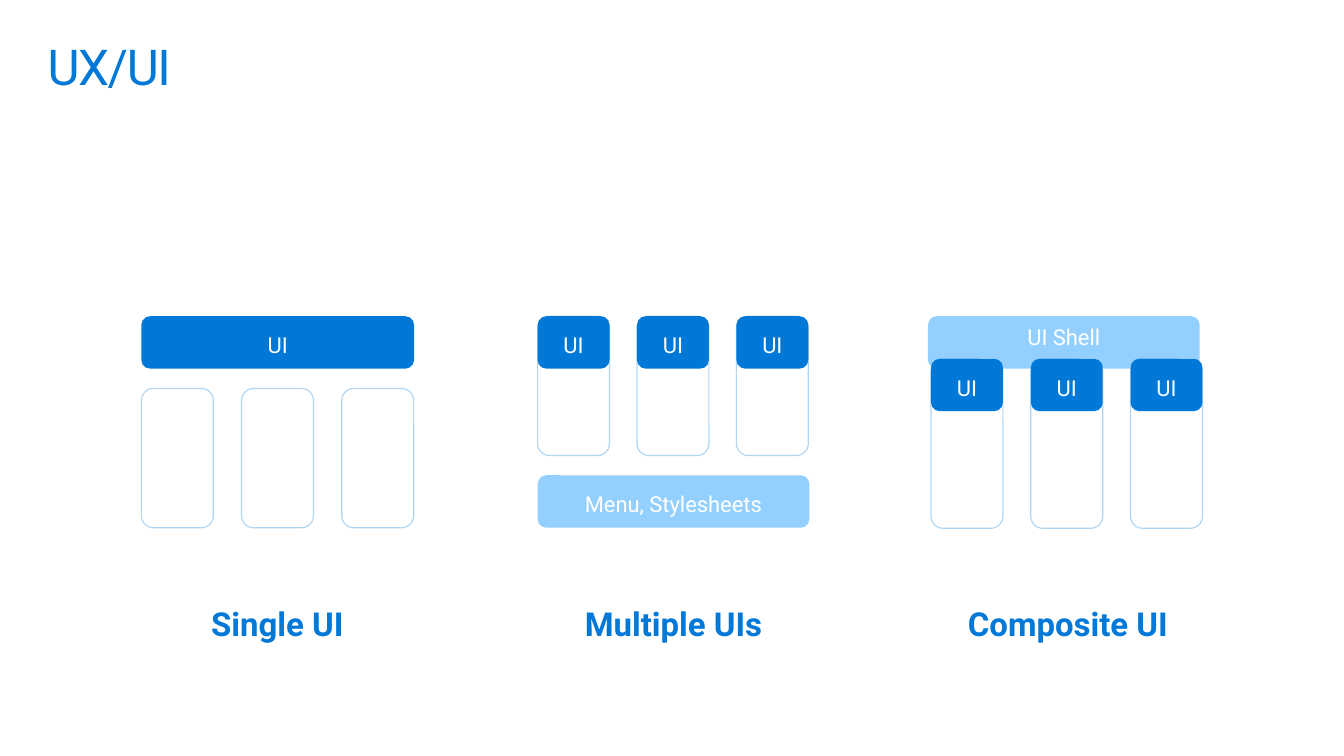
"""Build a slide that contrasts single, multiple and composite user interfaces."""
from pptx import Presentation
from pptx.dml.color import RGBColor
from pptx.enum.shapes import MSO_SHAPE
from pptx.enum.text import MSO_ANCHOR, PP_ALIGN
from pptx.util import Pt

ROUNDED = MSO_SHAPE.ROUNDED_RECTANGLE
TOP, BOTTOM = MSO_ANCHOR.TOP, MSO_ANCHOR.BOTTOM
LEFT, CENTER = PP_ALIGN.LEFT, PP_ALIGN.CENTER

BLUE, PALE, OUTLINE, WHITE = "0078D7", "94D0FF", "B1D6F2", "FFFFFF"
TOP_Y, LOWER_Y, SHELL_Y = 230.4, 283, 261.4
BAR_HEIGHT, CARD_WIDTH, CARD_HEIGHT, TALL_CARD = 38.2, 52.4, 101.5, 123.5
LABEL_WIDTH = 176.4


def color(value):
    return RGBColor.from_string(value)


def assign(target, values):
    for name, value in values.items():
        setattr(target, name, value)


class Deck:
    """Hold the text style and the current slide."""

    font = {"name": "Roboto", "bold": False}
    bar_frame = {"margin_left": Pt(14.4), "margin_right": Pt(14.4),
                 "margin_top": Pt(11.5), "margin_bottom": Pt(11.5)}
    title_frame = {"margin_left": 0, "margin_right": 0,
                   "margin_top": Pt(13), "margin_bottom": 0}

    def __init__(self, width, height):
        self.presentation = Presentation()
        assign(self.presentation, {"slide_width": Pt(width), "slide_height": Pt(height)})
        self.slide = self.presentation.slides.add_slide(self.presentation.slide_layouts[6])

    def add_words(self, shape, words, size, ink, align=CENTER, spacing=0.9,
                  anchor=TOP, frame=None, **font):
        text = shape.text_frame
        assign(text, {"word_wrap": True, "vertical_anchor": anchor, **(frame or {})})
        paragraph = text.paragraphs[0]
        assign(paragraph, {"alignment": align, "line_spacing": spacing})
        run = paragraph.add_run()
        run.text = words
        assign(run.font, {**self.font, "size": Pt(size), **font})
        run.font.color.rgb = color(ink)
        return run

    def title(self, words, left, top, width, height):
        box = self.slide.shapes.add_textbox(Pt(left), Pt(top), Pt(width), Pt(height))
        run = self.add_words(box, words, 36, BLUE, LEFT, frame=self.title_frame)
        run._r.get_or_add_rPr().set("spc", "-100")

    def label(self, words, center):
        box = self.slide.shapes.add_textbox(
            Pt(center - LABEL_WIDTH / 2), Pt(436.3), Pt(LABEL_WIDTH), Pt(36))
        self.add_words(box, words, 24, BLUE, spacing=1.0, bold=True)

    def block(self, left, top, width, height, fill):
        shape = self.slide.shapes.add_shape(ROUNDED, Pt(left), Pt(top), Pt(width), Pt(height))
        shape.shadow.inherit = False
        shape.fill.solid()
        shape.fill.fore_color.rgb = color(fill)
        shape.line.fill.background()
        return shape

    def bar(self, words, left, top, width, fill=BLUE, anchor=TOP):
        shape = self.block(left, top, width, BAR_HEIGHT, fill)
        self.add_words(shape, words, 16, WHITE, anchor=anchor, frame=self.bar_frame)

    def card(self, left, top, height):
        shape = self.block(left, top, CARD_WIDTH, height, WHITE)
        shape.line.color.rgb = color(OUTLINE)
        shape.line.width = Pt(0.85)

    def cards(self, left, top, step, height, caption=None):
        for index in range(3):
            x = left + index * step
            self.card(x, top, height)
            if caption:
                self.bar(caption, x, top, CARD_WIDTH)


def main():
    deck = Deck(979.2, 550.8)
    deck.title("UX/UI", 34.6, 18, 910.8, 59)

    deck.cards(391.7, TOP_Y, 72.4, CARD_HEIGHT, "UI")
    deck.bar("Menu, Stylesheets", 391.7, 346.3, 198, PALE)

    deck.cards(103, LOWER_Y, 73, CARD_HEIGHT)
    deck.bar("UI", 103, TOP_Y, 198.7)

    deck.bar("UI Shell", 676.1, TOP_Y, 198, PALE, BOTTOM)
    deck.cards(678.3, SHELL_Y, 72.7, TALL_CARD, "UI")

    for words, center in (("Single UI", 202), ("Multiple UIs", 490.7), ("Composite UI", 778)):
        deck.label(words, center)

    deck.presentation.save("out.pptx")


if __name__ == "__main__":
    main()
